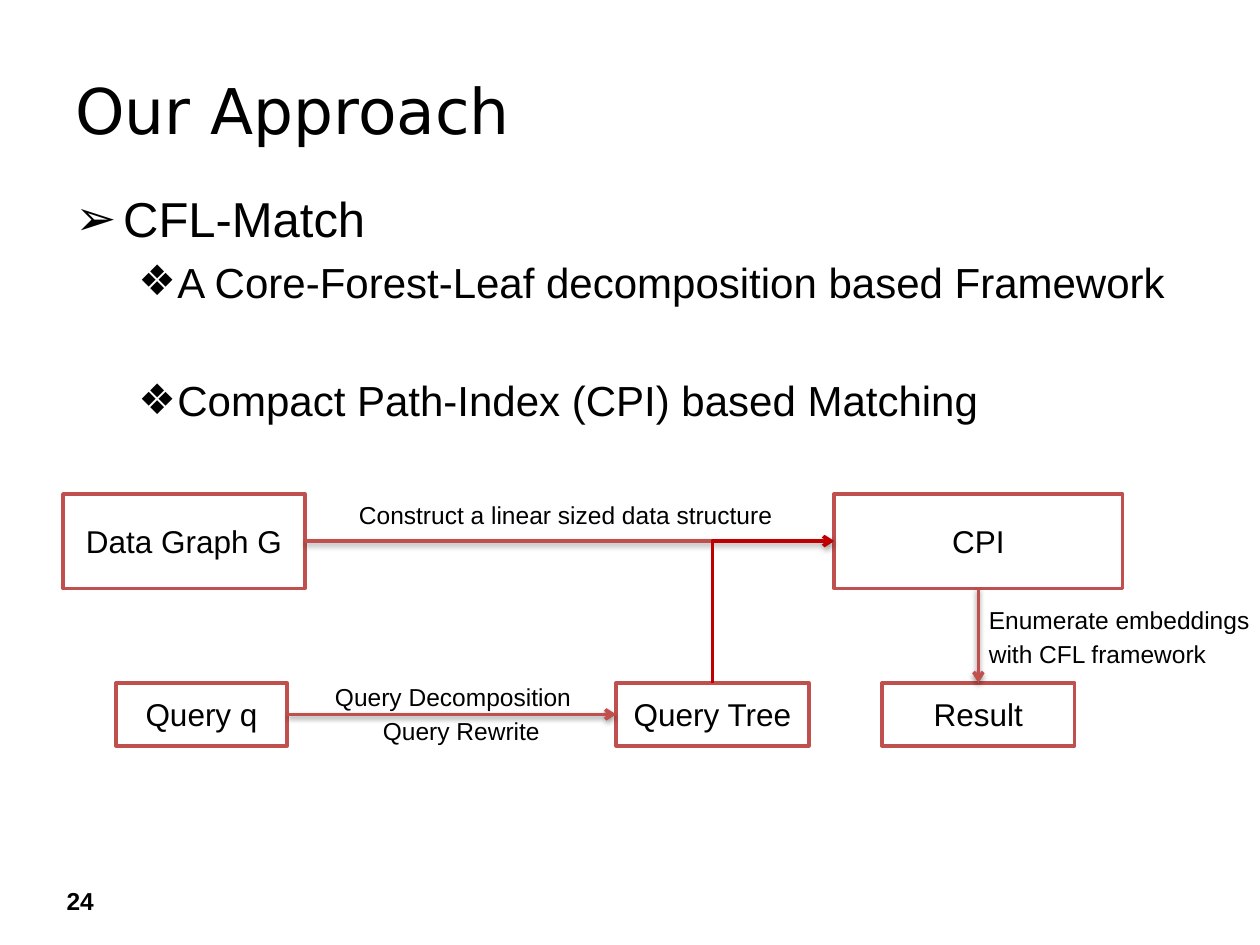
from dataclasses import dataclass

from lxml.etree import SubElement
from pptx import Presentation
from pptx.dml.color import RGBColor
from pptx.enum.shapes import MSO_CONNECTOR as Link, MSO_SHAPE as Form
from pptx.enum.text import MSO_ANCHOR as Anchor, PP_ALIGN as Align
from pptx.oxml.ns import qn
from pptx.util import Inches, Pt

HUES = {"ink": "000000", "paper": "FFFFFF", "edge": "C0504D", "bend": "C00000"}


@dataclass
class Para:
    text: str
    size: float
    gap: float = 0
    mark: str = ""
    left: float = 0
    hang: float = 0
    font: str = "Arial"
    bold: bool = False


@dataclass
class Area:
    x: float
    y: float
    w: float
    h: float
    paras: list[Para]
    wrap: bool = True


@dataclass
class Node:
    text: str
    x: float
    y: float
    w: float
    h: float


def hue(name: str) -> RGBColor:
    """Return the named colour."""
    return RGBColor.from_string(HUES[name])


def place(item: Area | Node) -> list[int]:
    """Return left, top, width and height as lengths."""
    return [Inches(v) for v in (item.x, item.y, item.w, item.h)]


def style(para, size: float, font: str = "Arial", bold: bool = False) -> None:
    """Set the font of a paragraph."""
    para.font.name = font
    para.font.size = Pt(size)
    para.font.bold = bold
    para.font.color.rgb = hue("ink")


def write(shapes, area: Area) -> None:
    """Draw a text box with its paragraphs."""
    frame = shapes.add_textbox(*place(area)).text_frame
    frame.word_wrap = area.wrap
    for i, item in enumerate(area.paras):
        para = frame.add_paragraph() if i else frame.paragraphs[0]
        para.text = item.text
        para.space_before = Pt(item.gap)
        style(para, item.size, item.font, item.bold)
        props = para._p.get_or_add_pPr()
        props.set("marL", str(Inches(item.left)))
        props.set("indent", str(Inches(-item.hang)))
        if item.mark:
            for tag, attrs in (("a:buFont", {"typeface": "DejaVu Sans"}),
                               ("a:buChar", {"char": item.mark})):
                bullet = props.makeelement(qn(tag), attrs)
                props.insert_element_before(bullet, "a:tabLst", "a:defRPr", "a:extLst")


def box(shapes, node: Node):
    """Draw a labelled rectangle."""
    shape = shapes.add_shape(Form.RECTANGLE, *place(node))
    shape.shadow.inherit = False
    shape.fill.solid()
    shape.fill.fore_color.rgb = hue("paper")
    shape.line.color.rgb = hue("edge")
    shape.line.width = Pt(2)
    frame = shape.text_frame
    frame.vertical_anchor = Anchor.MIDDLE
    frame.margin_left = frame.margin_right = Inches(0.05)
    para = frame.paragraphs[0]
    para.text = node.text
    para.alignment = Align.CENTER
    style(para, 18)
    return shape


def finish(line, tone: str, shade: bool) -> None:
    """Give a connector its colour, arrowhead and shadow."""
    line.line.color.rgb = hue(tone)
    line.line.width = Pt(2)
    SubElement(line.line._get_or_add_ln(), qn("a:tailEnd"), type="arrow")
    effects = SubElement(line._element.spPr, qn("a:effectLst"))
    if shade:
        cast = SubElement(effects, qn("a:outerShdw"), blurRad=str(Pt(3.1)),
                          dist=str(Pt(1.6)), dir="5400000", rotWithShape="0")
        tint = SubElement(cast, qn("a:srgbClr"), val=HUES["ink"])
        SubElement(tint, qn("a:alpha"), val="38000")


def arrow(shapes, start, out: int, end, into: int) -> None:
    """Join two rectangles with a straight arrow."""
    line = shapes.add_connector(Link.STRAIGHT, 0, 0, 0, 0)
    line.begin_connect(start, out)
    line.end_connect(end, into)
    finish(line, "edge", True)


def elbow(shapes, start, end) -> None:
    """Draw a bent arrow from the top of one box to the left of another."""
    x, y = start.left + start.width // 2, start.top
    goal_x, goal_y = end.left, end.top + end.height // 2
    mid_x, mid_y = (x + goal_x) // 2, (y + goal_y) // 2
    half_w, half_h = (y - goal_y) // 2, (goal_x - x) // 2
    line = shapes.add_connector(Link.ELBOW, mid_x + half_w, mid_y + half_h,
                                mid_x - half_w, mid_y - half_h)
    props = line._element.spPr
    props.find(qn("a:xfrm")).set("rot", "5400000")
    props.find(qn("a:prstGeom")).set("prst", "bentConnector2")
    finish(line, "bend", False)


def main() -> None:
    """Build the slide and save it."""
    deck = Presentation()
    deck.slide_width, deck.slide_height = Inches(10), Inches(7.5)
    shapes = deck.slides.add_slide(deck.slide_layouts[6]).shapes

    point = {"mark": "❖", "left": 0.81, "hang": 0.31}
    areas = [
        Area(0.43, 6.98, 0.47, 0.34, [Para("24", 14, bold=True)]),
        Area(0.5, 0.52, 9, 0.87, [Para("Our Approach", 36, font="DejaVu Sans")]),
        Area(0.5, 1.45, 9, 5.04, [
            Para("CFL-Match", 28, mark="➢", left=0.38, hang=0.38),
            Para("A Core-Forest-Leaf decomposition based Framework", 24, 4.8, **point),
            Para("Compact Path-Index (CPI) based Matching", 24, 39, **point),
        ]),
        Area(7.75, 4.75, 2.5, 0.62, [
            Para("Enumerate embeddings", 14), Para("with CFL framework", 14, 2.8)]),
        Area(2.75, 3.92, 3.55, 0.34,
             [Para("Construct a linear sized data structure", 14)], False),
        Area(2.56, 5.36, 3.11, 0.62, [
            Para("Query Decomposition", 14), Para("Query Rewrite", 14, 2.8, left=0.38)]),
    ]
    for area in areas:
        write(shapes, area)

    nodes = [
        Node("Data Graph G", 0.5, 3.92, 1.92, 0.75),
        Node("CPI", 6.62, 3.92, 2.29, 0.75),
        Node("Query q", 0.92, 5.42, 1.36, 0.5),
        Node("Query Tree", 4.89, 5.42, 1.53, 0.5),
        Node("Result", 7, 5.42, 1.53, 0.5),
    ]
    graph, index, query, tree, result = [box(shapes, node) for node in nodes]
    arrow(shapes, query, 3, tree, 1)
    arrow(shapes, graph, 3, index, 1)
    elbow(shapes, tree, index)
    arrow(shapes, index, 2, result, 0)

    deck.save("out.pptx")


if __name__ == "__main__":
    main()
